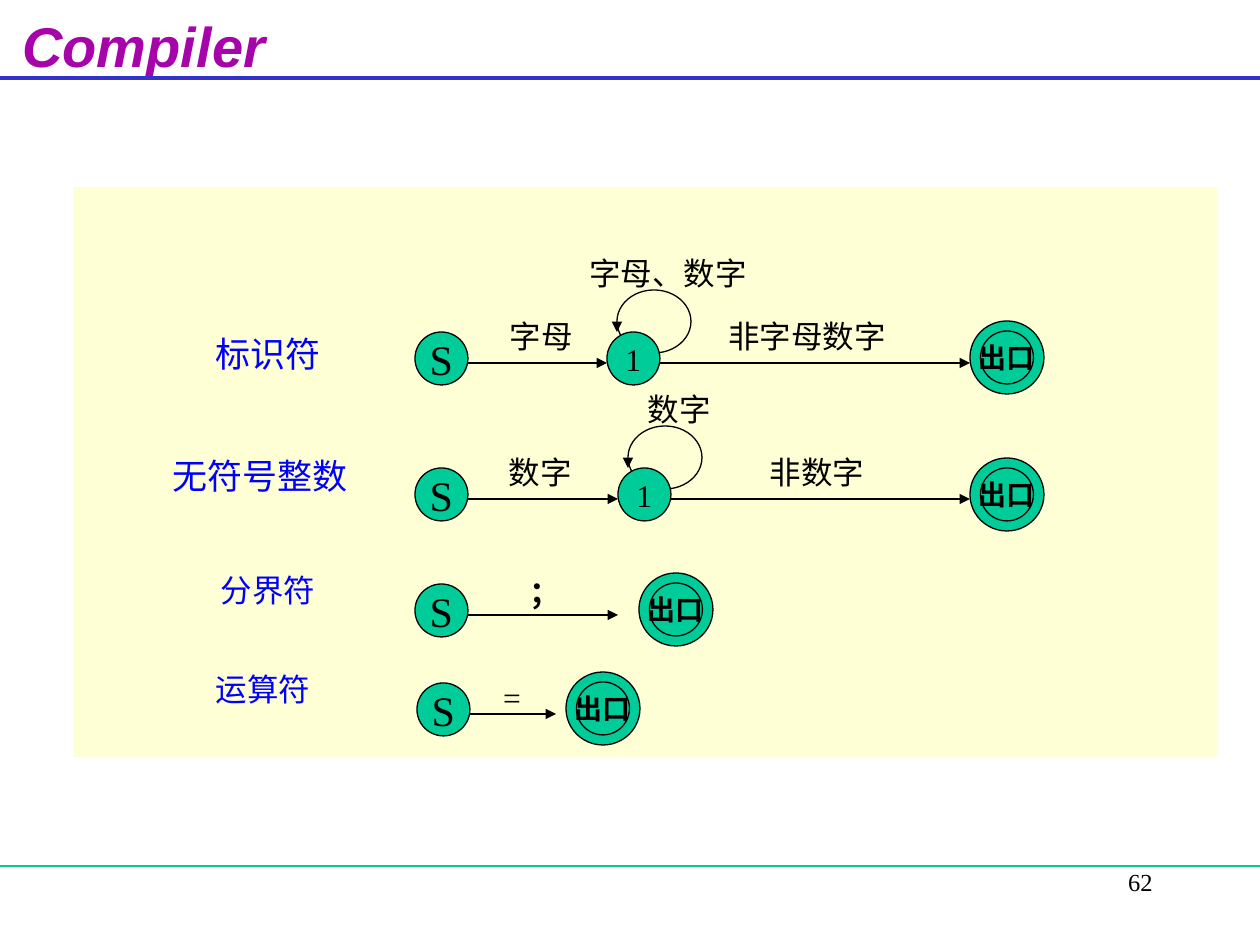
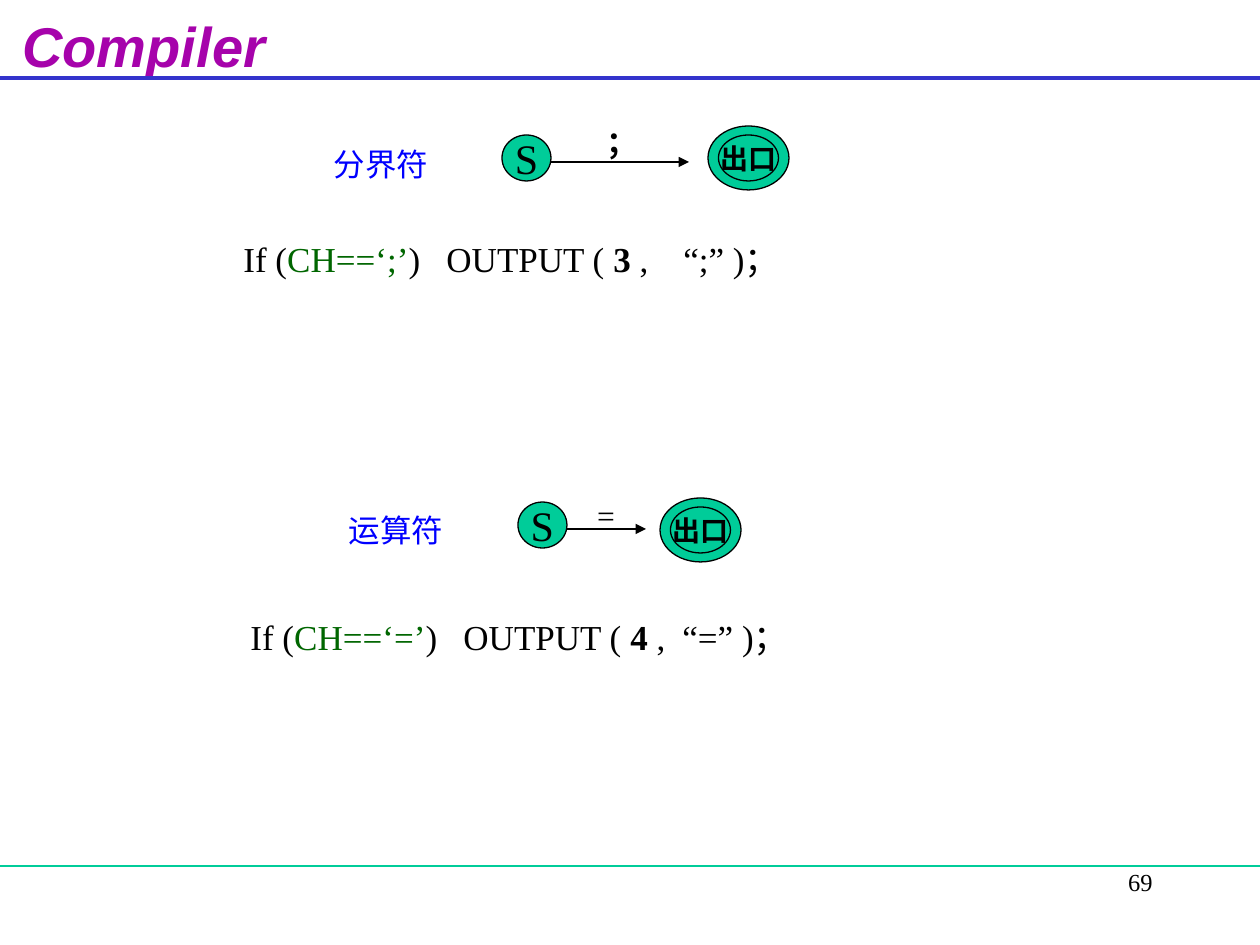
from dataclasses import dataclass

from lxml.etree import SubElement
from pptx import Presentation
from pptx.dml.color import RGBColor
from pptx.enum.shapes import MSO_CONNECTOR as Connector, MSO_SHAPE as Preset
from pptx.enum.text import MSO_ANCHOR as Anchor, PP_ALIGN as Align
from pptx.oxml.ns import qn
from pptx.util import Emu, Pt

PX = 914400 / 126
WIDTH, HEIGHT = 1260, 945


def px(length):
    return Emu(round(length * PX))


@dataclass(frozen=True)
class Theme:
    title_font: str = "Arial"
    body_font: str = "Times New Roman"
    ink: str = "000000"
    title: str = "A603AB"
    title_rule: str = "3333CC"
    node: str = "00CC99"
    panel: str = "FFFFD5"
    token: str = "0000FF"
    condition: str = "006600"
    title_size: int = 32
    start_size: int = 24
    code_size: int = 20
    label_size: int = 18
    exit_size: int = 16
    number_size: int = 14
    thin: float = 0.75
    thick: float = 2.25


@dataclass(frozen=True)
class NodeSizes:
    state: tuple
    exit: tuple
    exit_core: tuple
    arrow_drop: int


@dataclass(frozen=True)
class Automaton:
    """One token's diagram; start and exit are top left corners, labels are centres."""
    token: str
    token_at: tuple
    start: tuple
    exit: tuple
    symbol: str
    symbol_at: tuple
    arrow_end: int
    token_size: int = 18
    symbol_bold: bool = False
    loop: str = ""
    leave: str = ""
    leave_x: int = 0


class Deck:
    def __init__(self, theme):
        self.theme = theme
        self.prs = Presentation()
        self.prs.slide_width, self.prs.slide_height = px(WIDTH), px(HEIGHT)
        self.shapes = None

    def new_slide(self, number):
        t = self.theme
        self.shapes = self.prs.slides.add_slide(self.prs.slide_layouts[6]).shapes
        self.text(str(number), 903, 861, 262, 63, t.number_size, align=Align.RIGHT)
        title = self.text("Compiler", 10, 5, 280, 78, t.title_size, t.title, bold=True)
        title.font.name, title.font.italic = t.title_font, True
        self.line(0, 78, WIDTH, 78, t.title_rule, t.thick)
        self.line(0, 866, WIDTH, 866, t.node)

    def style(self, paragraph, size, color=None, bold=False, align=Align.LEFT):
        paragraph.alignment = align
        font = paragraph.font
        font.name, font.size, font.bold = self.theme.body_font, Pt(size), bold
        font.color.rgb = RGBColor.from_string(color or self.theme.ink)
        return paragraph

    def text(self, words, left, top, width, height, size, color=None, bold=False,
             align=Align.LEFT, anchor=Anchor.TOP):
        frame = self.shapes.add_textbox(px(left), px(top), px(width), px(height)).text_frame
        frame.word_wrap, frame.vertical_anchor = True, anchor
        paragraph = frame.paragraphs[0]
        paragraph.text = words
        return self.style(paragraph, size, color, bold, align)

    def label(self, words, center, size, color=None, bold=False):
        """Text centred on a point, in a box wide enough for one line."""
        ems = sum(0.56 if char.isascii() else 1 for char in words)
        width, height = round(ems * size * 1.75 + 31), round(size * 2.1 + 13)
        self.text(words, center[0] - width / 2, center[1] - height / 2, width, height,
                  size, color, bold, Align.CENTER, Anchor.MIDDLE)

    def line(self, x1, y1, x2, y2, color=None, weight=None, arrow=False):
        rule = self.shapes.add_connector(Connector.STRAIGHT, px(x1), px(y1), px(x2), px(y2))
        rule.line.color.rgb = RGBColor.from_string(color or self.theme.ink)
        rule.line.width = Pt(weight or self.theme.thin)
        if arrow:
            SubElement(rule.line._get_or_add_ln(), qn("a:tailEnd"), type="triangle")
        SubElement(rule._element.spPr, qn("a:effectLst"))

    def shape(self, preset, left, top, size, fill=None, outline=None):
        shape = self.shapes.add_shape(preset, px(left), px(top), px(size[0]), px(size[1]))
        shape.shadow.inherit = False
        if fill:
            shape.fill.solid()
            shape.fill.fore_color.rgb = RGBColor.from_string(fill)
        else:
            shape.fill.background()
        shape.line.color.rgb = RGBColor.from_string(outline or self.theme.ink)
        shape.line.width = Pt(self.theme.thin)
        return shape

    def node(self, words, left, top, size, font_size, bold=False):
        circle = self.shape(Preset.OVAL, left, top, size, self.theme.node)
        frame = circle.text_frame
        frame.word_wrap, frame.vertical_anchor = False, Anchor.MIDDLE
        frame.paragraphs[0].text = words
        self.style(frame.paragraphs[0], font_size, bold=bold, align=Align.CENTER)

    def exit_node(self, left, top, sizes):
        self.node("出口", left, top, sizes.exit, self.theme.exit_size, bold=True)
        inset_x, inset_y = ((outer - core) / 2 for outer, core in zip(sizes.exit, sizes.exit_core))
        self.shape(Preset.OVAL, left + inset_x, top + inset_y, sizes.exit_core)

    def automaton(self, diagram, sizes):
        t = self.theme
        left, top = diagram.start
        arrow_y = top + sizes.arrow_drop
        state_x = diagram.arrow_end
        self.label(diagram.token, diagram.token_at, diagram.token_size, t.token)
        if diagram.loop:
            self.shape(Preset.OVAL, state_x + 10, top - 42, (74, 63))
        self.exit_node(*diagram.exit, sizes)
        self.node("S", left, top, sizes.state, t.start_size)
        self.line(left + sizes.state[0], arrow_y, state_x, arrow_y, arrow=True)
        self.label(diagram.symbol, diagram.symbol_at, t.label_size, bold=diagram.symbol_bold)
        if diagram.loop:
            self.node("1", state_x, top, sizes.state, t.label_size)
            self.line(state_x + sizes.state[0], arrow_y, diagram.exit[0], arrow_y, arrow=True)
            self.line(state_x + 10, top - 10, state_x + 10, top, arrow=True)
            self.label(diagram.leave, (diagram.leave_x, top + 4), t.label_size)
            self.label(diagram.loop, (state_x + 61, top - 59), t.label_size)

    def code(self, left, top, width, condition, token_class, lexeme, tab_stops):
        paragraph = self.text("", left, top, width, 55, self.theme.code_size)
        properties = paragraph._p.get_or_add_pPr()
        stops = properties.makeelement(qn("a:tabLst"))
        properties.insert(0, stops)
        for stop in tab_stops:
            SubElement(stops, qn("a:tab"), pos=str(px(stop)), algn="l")
        parts = ["If (", condition, ")\tOUTPUT (", f" {token_class}", f" ,\t{lexeme} )；"]
        for part in parts:
            run = paragraph.add_run()
            run.text = part
            run.font.name, run.font.size = self.theme.body_font, Pt(self.theme.code_size)
            run.font.bold = part == parts[3]
            color = self.theme.condition if part == condition else self.theme.ink
            run.font.color.rgb = RGBColor.from_string(color)


def token_diagrams(deck):
    deck.new_slide(62)
    deck.shape(Preset.RECTANGLE, 74, 188, (1142, 568), deck.theme.panel, deck.theme.panel)
    sizes = NodeSizes(state=(53, 53), exit=(74, 73), exit_core=(53, 53), arrow_drop=31)
    for diagram in (
        Automaton("标识符", (268, 353), (415, 332), (970, 321), "字母", (541, 336), 607,
                  token_size=20, loop="字母、数字", leave="非字母数字", leave_x=807),
        Automaton("无符号整数", (260, 475), (415, 468), (970, 458), "数字", (540, 472), 618,
                  token_size=20, loop="数字", leave="非数字", leave_x=817),
        Automaton("分界符", (268, 590), (415, 584), (639, 573), "；", (545, 592), 618,
                  symbol_bold=True),
        Automaton("运算符", (263, 689), (417, 683), (566, 672), "=", (512, 697), 556),
    ):
        deck.automaton(diagram, sizes)


def single_symbol_code(deck):
    deck.new_slide(69)
    sizes = NodeSizes(state=(49, 46), exit=(81, 64), exit_core=(60, 46), arrow_drop=27)
    deck.automaton(Automaton("分界符", (381, 164), (502, 135), (708, 126), "；", (622, 142), 689,
                             symbol_bold=True), sizes)
    deck.code(231, 231, 598, "CH==‘;’", 3, "“;”", (203, 440))
    deck.automaton(Automaton("运算符", (396, 530), (518, 502), (660, 498), "=", (606, 515), 646),
                   sizes)
    deck.code(238, 609, 573, "CH==‘=’", 4, "“=”", (213, 432))


def main():
    deck = Deck(Theme())
    token_diagrams(deck)
    single_symbol_code(deck)
    deck.prs.save("out.pptx")


if __name__ == "__main__":
    main()
